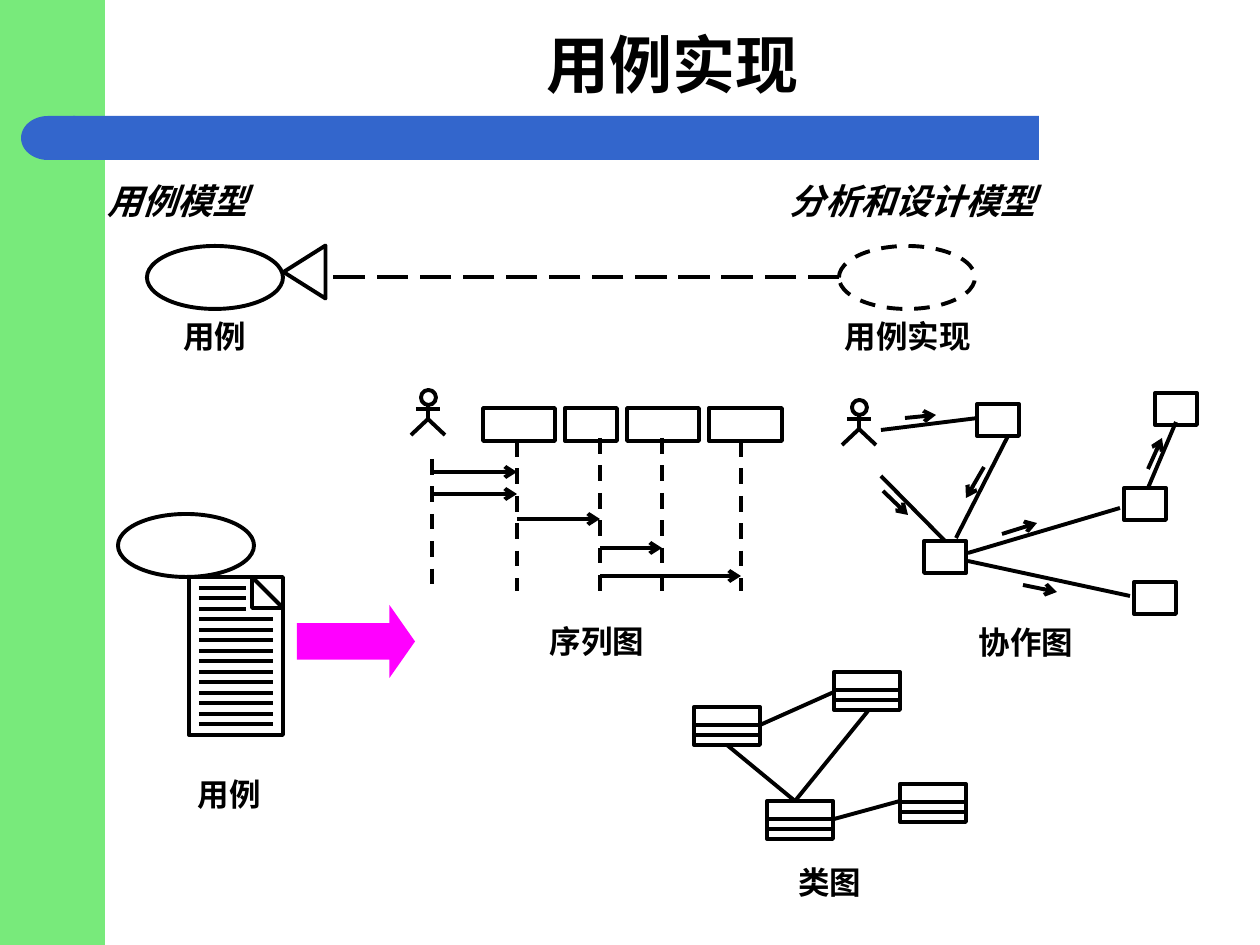
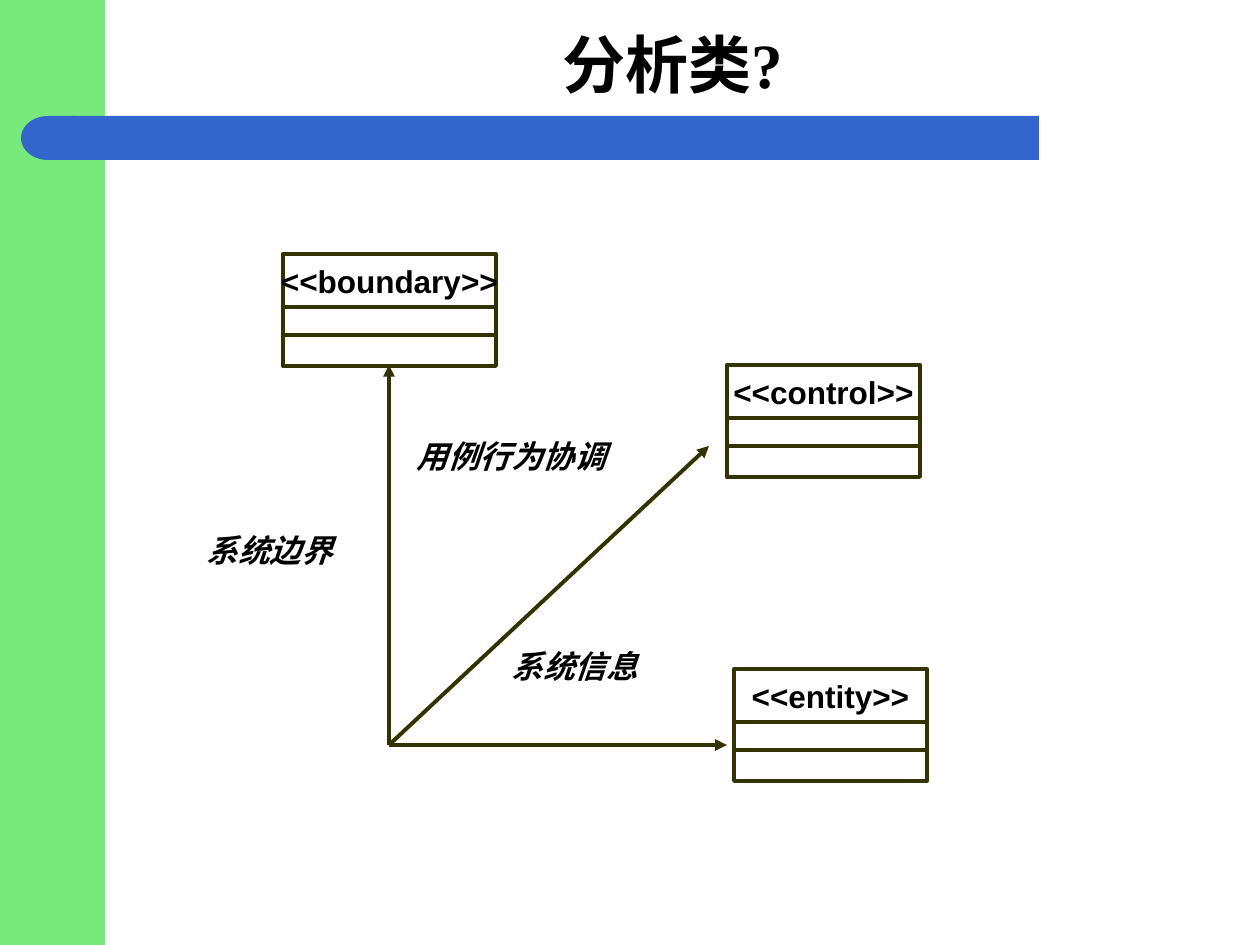
"""Build two slides on use-case realization and analysis classes."""
from pptx import Presentation
from pptx.dml.color import RGBColor
from pptx.enum.dml import MSO_LINE_DASH_STYLE as Dash
from pptx.enum.shapes import MSO_CONNECTOR, MSO_SHAPE as Preset
from pptx.enum.text import MSO_ANCHOR as Anchor, PP_ALIGN as Align
from pptx.oxml.ns import qn
from pptx.util import Emu, Pt
from lxml.etree import SubElement

SCALE = 914400 / 126
SLIDE_SIZE = (1260, 945)
COLORS = {"sidebar": "78EA7B", "band": "3366CC", "arrow": "FF00FF",
          "ink": "000000", "olive": "333300"}
LINE_WIDTH = 2.25

HEADINGS = [("用例模型", (94, 173, 357, 55)), ("分析和设计模型", (777, 173, 357, 55))]
CENTERED_LABELS = [
    ("用例", (157, 311, 116, 50)),
    ("用例实现", (817, 311, 181, 50)),
    ("用例", (116, 769, 227, 50)),
    ("序列图", (416, 616, 362, 50)),
    ("类图", (772, 857, 116, 50)),
]
COLLABORATION_LABEL = ("协作图", (966, 617, 235, 50))

DOCUMENT = (189, 577, 94, 158)
DOCUMENT_ROWS, SHORT_ROWS = 14, 3
ACTORS = [(428, 390), (859, 400)]

PARTICIPANTS = [(483, 72), (565, 52), (627, 72), (709, 73)]
LIFELINES = [(432, 459), (517, 441), (600, 438), (662, 438), (741, 441)]
MESSAGES = [(432, 517, 472), (432, 517, 494), (517, 600, 519),
            (600, 662, 548), (600, 741, 576)]

OBJECTS = [(977, 404), (924, 541), (1134, 582), (1124, 488), (1155, 393)]
OBJECT_LINKS = [
    (881, 476, 945, 541), (881, 430, 978, 418), (968, 561, 1130, 596),
    (968, 553, 1120, 508), (1148, 488, 1176, 422), (1008, 436, 956, 538),
]
OBJECT_MESSAGES = [
    (883, 491, 908, 515), (984, 467, 966, 498), (1002, 534, 1037, 523),
    (1023, 585, 1057, 592), (1148, 469, 1162, 438), (905, 418, 936, 415),
]

CLASSES = [(694, 707), (834, 672), (767, 801), (900, 784)]
CLASS_LINKS = [(795, 801, 727, 745), (760, 725, 834, 692),
               (834, 819, 900, 801), (795, 801, 868, 711)]

ANALYSIS_CLASSES = [
    ("<<boundary>>", (283, 254, 213, 112)),
    ("<<control>>", (727, 365, 193, 112)),
    ("<<entity>>", (734, 669, 193, 112)),
]
AXIS_ORIGIN = (389, 745)
AXIS_ENDS = [(389, 365), (727, 745), (709, 446)]
AXIS_LABELS = [
    ("系统边界", (194, 525, 179, 50)),
    ("用例行为协调", (404, 431, 242, 50)),
    ("系统信息", (499, 641, 210, 50)),
]


def emu(*pixels):
    return [Emu(round(value * SCALE)) for value in pixels]


def rgb(color):
    return RGBColor.from_string(COLORS[color])


def style_shape(shape, fill=None, line="ink", dash=None):
    shape.shadow.inherit = False
    if fill:
        shape.fill.solid()
        shape.fill.fore_color.rgb = rgb(fill)
    else:
        shape.fill.background()
    if line:
        shape.line.color.rgb = rgb(line)
        shape.line.width = Pt(LINE_WIDTH)
        if dash:
            shape.line.dash_style = dash
    else:
        shape.line.fill.background()
    return shape


def add_shape(slide, preset, box, **style):
    return style_shape(slide.shapes.add_shape(preset, *emu(*box)), **style)


def add_outline(slide, points, close=False):
    builder = slide.shapes.build_freeform(*points[0], scale=SCALE)
    builder.add_line_segments(points[1:], close=close)
    return style_shape(builder.convert_to_shape())


def add_line(slide, ends, color="ink", dash=None, head=None):
    connector = slide.shapes.add_connector(MSO_CONNECTOR.STRAIGHT, *emu(*ends))
    connector.line.color.rgb = rgb(color)
    connector.line.width = Pt(LINE_WIDTH)
    if dash:
        connector.line.dash_style = dash
    properties = connector.element.spPr
    if head:
        SubElement(properties.find(qn("a:ln")), qn("a:tailEnd"), type=head)
    SubElement(properties, qn("a:effectLst"))


def add_text(slide, text, box, size=18, font="Arial", italic=False,
             align=Align.LEFT, anchor=Anchor.TOP, margins=(13, 6)):
    frame = slide.shapes.add_textbox(*emu(*box)).text_frame
    frame.word_wrap = True
    frame.vertical_anchor = anchor
    frame.margin_left, frame.margin_top = emu(*margins)
    frame.margin_right, frame.margin_bottom = emu(*margins)
    paragraph = frame.paragraphs[0]
    paragraph.alignment = align
    run = paragraph.add_run()
    run.text = text
    run.font.size = Pt(size)
    run.font.name = font
    run.font.bold = True
    run.font.italic = italic
    run.font.color.rgb = rgb("ink")


def add_class(slide, box, dividers, color="ink"):
    left, top, width, height = box
    add_shape(slide, Preset.RECTANGLE, box, line=color)
    for offset in dividers:
        add_line(slide, (left, top + offset, left + width, top + offset), color)


def add_actor(slide, center, top):
    waist, feet = top + 29, top + 45
    add_shape(slide, Preset.OVAL, (center - 7, top, 15, 15))
    add_line(slide, (center, top + 15, center, waist))
    add_line(slide, (center - 12, top + 19, center + 12, top + 19))
    add_outline(slide, [(center - 17, feet), (center, waist), (center + 17, feet)])


def new_slide(presentation, title):
    slide = presentation.slides.add_slide(presentation.slide_layouts[6])
    add_shape(slide, Preset.RECTANGLE, (0, 0, 105, 945), fill="sidebar", line=None)
    add_shape(slide, Preset.RECTANGLE, (73, 116, 966, 44), fill="band", line=None)
    cap = add_shape(slide, Preset.FLOWCHART_DELAY, (21, 116, 54, 44), fill="band", line=None)
    cap.rotation = 180
    add_text(slide, title, (116, 21, 1113, 84), size=36, font="Times New Roman",
             align=Align.CENTER, anchor=Anchor.MIDDLE)
    return slide


def draw_models(slide):
    add_shape(slide, Preset.OVAL, (147, 246, 136, 63))
    add_shape(slide, Preset.OVAL, (839, 246, 136, 63), dash=Dash.DASH)
    add_line(slide, (839, 277, 325, 277), dash=Dash.LONG_DASH)
    triangle = add_shape(slide, Preset.ISOSCELES_TRIANGLE, (278, 251, 53, 42))
    triangle.rotation = 270


def draw_document(slide):
    left, top, width, height = DOCUMENT
    right, fold = left + width, 31
    add_shape(slide, Preset.OVAL, (118, 514, 136, 63))
    add_shape(slide, Preset.RECTANGLE, DOCUMENT)
    add_outline(slide, [(right - fold, top), (right, top + fold),
                        (right - fold, top + fold)], close=True)
    for row in range(DOCUMENT_ROWS):
        y = top + 11 + row * 21 // 2
        end = right - 37 if row < SHORT_ROWS else right - 10
        add_line(slide, (left + 10, y, end, y))
    arrow = add_shape(slide, Preset.RIGHT_ARROW, (297, 605, 118, 73), fill="arrow", line=None)
    arrow.adjustments[1] = 0.35


def draw_sequence(slide):
    for left, width in PARTICIPANTS:
        add_shape(slide, Preset.RECTANGLE, (left, 408, width, 33))
    for x, top in LIFELINES:
        add_line(slide, (x, top, x, 591), dash=Dash.DASH)
    for start, end, y in MESSAGES:
        add_line(slide, (start, y, end, y), head="arrow")


def draw_collaboration(slide):
    for left, top in OBJECTS:
        add_shape(slide, Preset.RECTANGLE, (left, top, 42, 32))
    for ends in OBJECT_LINKS:
        add_line(slide, ends)
    for ends in OBJECT_MESSAGES:
        add_line(slide, ends, head="arrow")


def draw_classes(slide):
    for left, top in CLASSES:
        add_class(slide, (left, top, 66, 38), (18, 28))
    for ends in CLASS_LINKS:
        add_line(slide, ends)


def build_realization(presentation):
    slide = new_slide(presentation, "用例实现")
    draw_models(slide)
    draw_document(slide)
    for center, top in ACTORS:
        add_actor(slide, center, top)
    draw_sequence(slide)
    draw_collaboration(slide)
    draw_classes(slide)
    for text, box in HEADINGS:
        add_text(slide, text, box, size=20, italic=True)
    for text, box in CENTERED_LABELS:
        add_text(slide, text, box, align=Align.CENTER)
    add_text(slide, *COLLABORATION_LABEL)


def build_analysis_classes(presentation):
    slide = new_slide(presentation, "分析类?")
    for end in AXIS_ENDS:
        add_line(slide, AXIS_ORIGIN + end, "olive", head="triangle")
    for name, box in ANALYSIS_CLASSES:
        left, top, width, height = box
        add_class(slide, box, (53, 81), "olive")
        add_text(slide, name, (left - 20, top + 8, width + 40, 38),
                 align=Align.CENTER, margins=(0, 0))
    for text, box in AXIS_LABELS:
        add_text(slide, text, box, italic=True)


def main():
    presentation = Presentation()
    presentation.slide_width, presentation.slide_height = emu(*SLIDE_SIZE)
    build_realization(presentation)
    build_analysis_classes(presentation)
    presentation.save("out.pptx")


if __name__ == "__main__":
    main()
